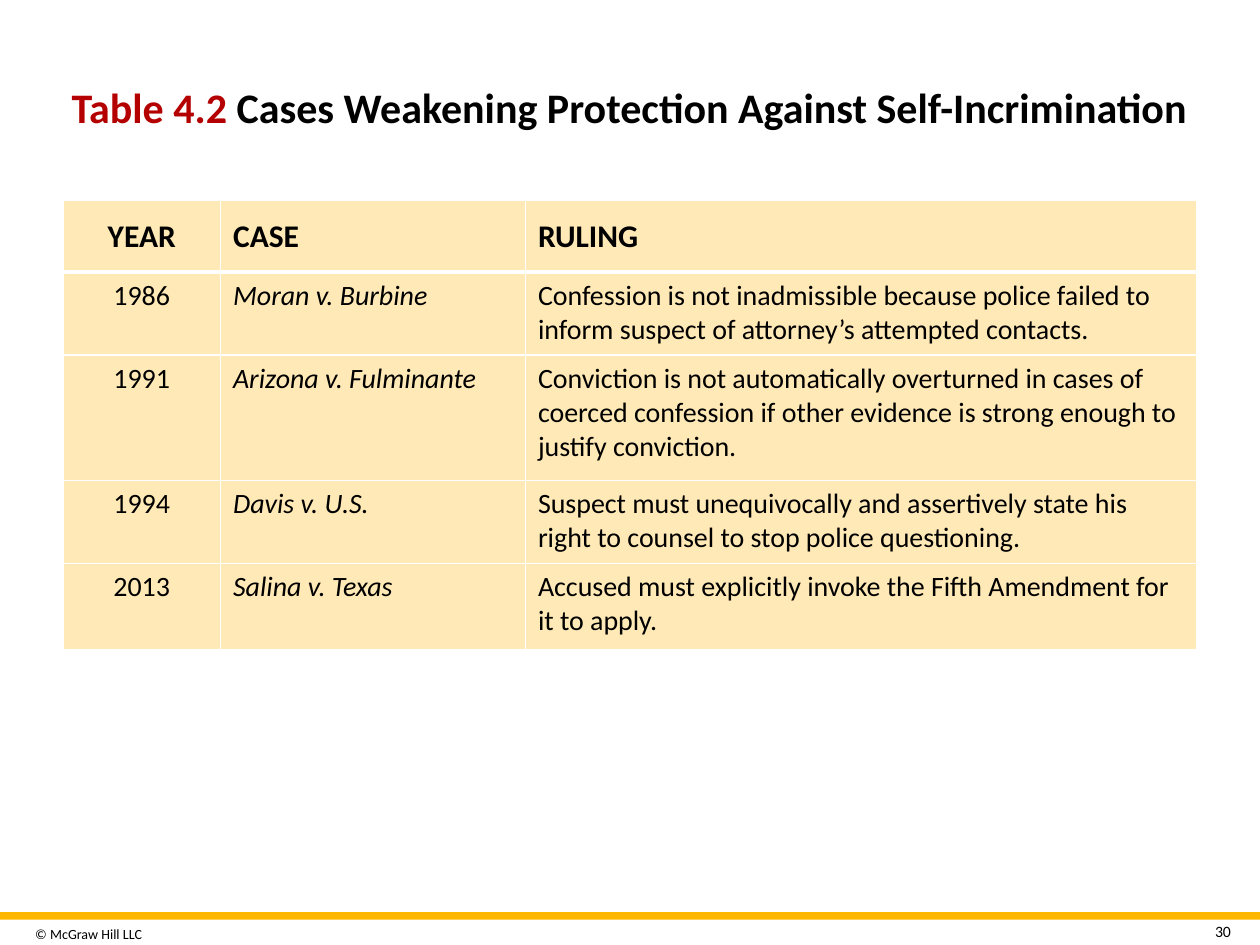
from typing import NamedTuple

from lxml.etree import SubElement
from pptx import Presentation
from pptx.dml.color import RGBColor
from pptx.enum.shapes import MSO_SHAPE
from pptx.enum.text import MSO_ANCHOR as ANCHOR, PP_ALIGN as ALIGN
from pptx.oxml.ns import qn
from pptx.util import Pt

BLACK = RGBColor(0x00, 0x00, 0x00)
WHITE = RGBColor(0xFF, 0xFF, 0xFF)
RED = RGBColor(0xB4, 0x00, 0x00)
GOLD = RGBColor(0xFF, 0xB6, 0x00)
CREAM = RGBColor(0xFF, 0xE9, 0xB6)
FONT = "Calibri"

COL_WIDTHS = (90, 174.25, 383.75)
ROW_HEIGHTS = (41, 47.5, 71.5, 47.5, 49.5)
HEADINGS = ("YEAR", "CASE", "RULING")


class Case(NamedTuple):
    year: str
    name: str
    ruling: str


class Box(NamedTuple):
    left: float
    top: float
    width: float
    height: float


CASES = (
    Case("1986", "Moran v. Burbine",
         "Confession is not inadmissible because police failed to inform "
         "suspect of attorney’s attempted contacts."),
    Case("1991", "Arizona v. Fulminante",
         "Conviction is not automatically overturned in cases of coerced "
         "confession if other evidence is strong enough to justify conviction."),
    Case("1994", "Davis v. U.S.",
         "Suspect must unequivocally and assertively state his right to "
         "counsel to stop police questioning."),
    Case("2013", "Salina v. Texas",
         "Accused must explicitly invoke the Fifth Amendment for it to apply."),
)


def add_text(p, text: str, *, size: float, color=BLACK, bold=False,
             italic=False, align=ALIGN.LEFT) -> None:
    p.alignment = align
    r = p.add_run()
    r.text = text
    font = r.font
    font.name, font.size = FONT, Pt(size)
    font.bold, font.italic = bold, italic
    font.color.rgb = color


def add_box(s, box: Box, inset_x: float = 7.2):
    tf = s.shapes.add_textbox(*map(Pt, box)).text_frame
    tf.word_wrap = True
    tf.vertical_anchor = ANCHOR.MIDDLE
    tf.margin_left = tf.margin_right = Pt(inset_x)
    return tf.paragraphs[0]


def set_borders(cell, **widths: float) -> None:
    tc_pr = cell._tc.get_or_add_tcPr()
    for i, (side, width) in enumerate(widths.items()):
        ln = tc_pr.makeelement(qn(f"a:ln{side}"), {"w": str(Pt(width))})
        fill = SubElement(ln, qn("a:solidFill"))
        SubElement(fill, qn("a:srgbClr"), val=str(WHITE))
        tc_pr.insert(i, ln)


def add_case_table(s, box: Box) -> None:
    rows = (HEADINGS, *CASES)
    table = s.shapes.add_table(len(rows), len(HEADINGS), *map(Pt, box)).table
    for col, width in zip(table.columns, COL_WIDTHS):
        col.width = Pt(width)
    for row, height in zip(table.rows, ROW_HEIGHTS):
        row.height = Pt(height)
    for i, texts in enumerate(rows):
        header = i == 0
        for j, text in enumerate(texts):
            cell = table.cell(i, j)
            cell.fill.solid()
            cell.fill.fore_color.rgb = CREAM
            cell.vertical_anchor = ANCHOR.MIDDLE if header else ANCHOR.TOP
            set_borders(cell, L=1, R=1, T=2.25 if i == 1 else 1,
                        B=2.25 if header else 1)
            add_text(cell.text_frame.paragraphs[0], text,
                     size=18 if header else 16, bold=header,
                     italic=j == 1 and not header,
                     align=ALIGN.CENTER if j == 0 else ALIGN.LEFT)


def main() -> None:
    prs = Presentation()
    prs.slide_width, prs.slide_height = Pt(720), Pt(540)
    s = prs.slides.add_slide(prs.slide_layouts[6])

    add_text(add_box(s, Box(17.25, 525, 97, 17.25), 2.9),
             "© McGraw Hill LLC", size=8)

    bar = s.shapes.add_shape(MSO_SHAPE.RECTANGLE, Pt(0), Pt(521.25), Pt(720), Pt(4.3))
    bar.shadow.inherit = False
    bar.fill.solid()
    bar.fill.fore_color.rgb = GOLD
    bar.line.fill.background()

    p = add_box(s, Box(26.65, 15.85, 666, 90))
    for text, color in (
        ("Table 4.2 ", RED),
        ("Cases Weakening Protection Against Self-Incrimination", BLACK),
    ):
        add_text(p, text, size=24, color=color, bold=True, align=ALIGN.CENTER)

    add_case_table(s, Box(36, 114.5, sum(COL_WIDTHS), sum(ROW_HEIGHTS)))
    add_text(add_box(s, Box(679, 525.6, 28, 13), 3.6), "30",
             size=9, align=ALIGN.RIGHT)

    prs.save("out.pptx")


if __name__ == "__main__":
    main()
